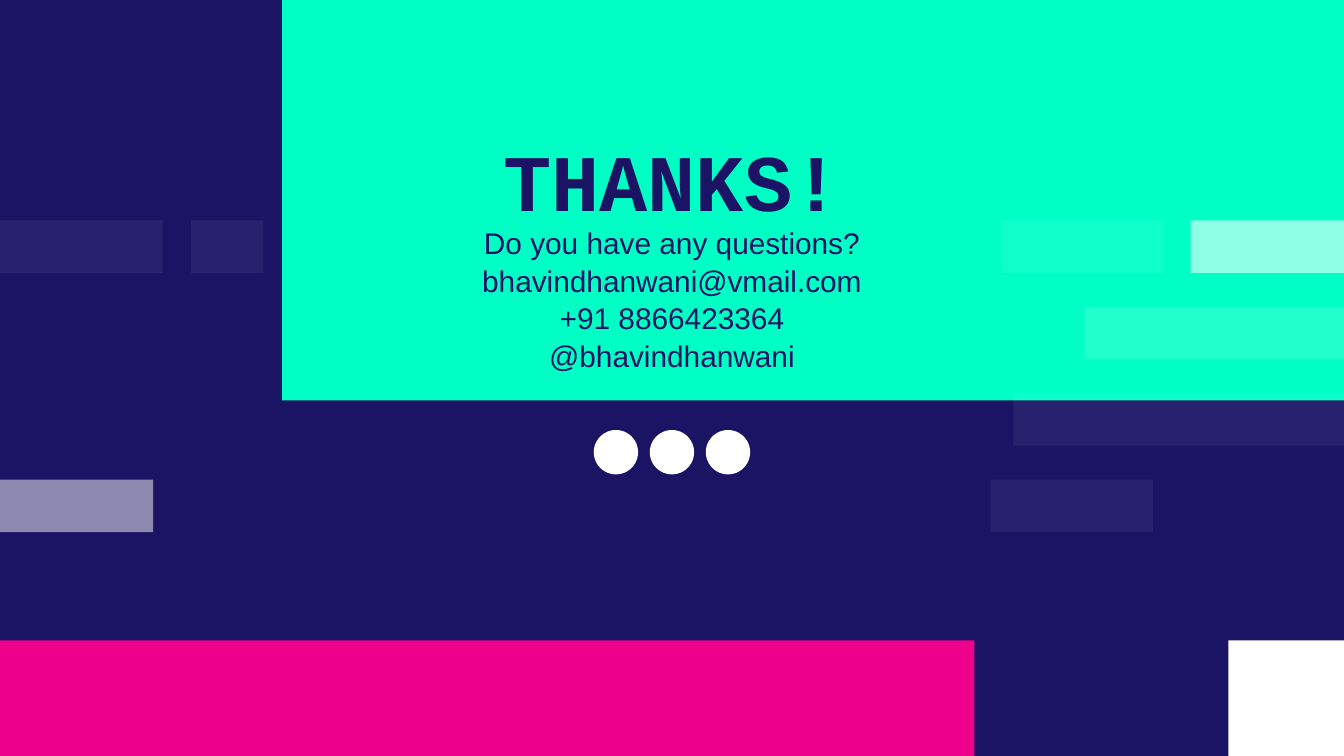
"""Build the closing thanks slide with contact details."""
from pptx import Presentation
from pptx.dml.color import RGBColor
from pptx.enum.shapes import MSO_SHAPE as Kind
from pptx.enum.text import PP_ALIGN as Align
from pptx.oxml.ns import qn
from pptx.util import Inches, Pt
from lxml.etree import SubElement

NAVY, PINK, MINT, WHITE = "1B1464", "EC008C", "00FFC5", "FFFFFF"
WIDE, HIGH = 10, 5.625

deck = Presentation()
deck.slide_width, deck.slide_height = Inches(WIDE), Inches(HIGH)
slide = deck.slides.add_slide(deck.slide_layouts[6])
back = slide.background.fill
back.solid()
back.fore_color.rgb = RGBColor.from_string(NAVY)


def block(kind, x, y, w, h, color, alpha=100):
    shape = slide.shapes.add_shape(kind, *map(Inches, (x, y, w, h)))
    shape.shadow.inherit = False
    shape.line.fill.background()
    shape.fill.solid()
    shape.fill.fore_color.rgb = RGBColor.from_string(color)
    if alpha < 100:
        tone = shape.fill._xPr.find(qn("a:solidFill"))[0]
        SubElement(tone, qn("a:alpha")).set("val", str(alpha * 1000))


def write(box, lines, font, size, bold, space, top):
    frame = slide.shapes.add_textbox(*map(Inches, box)).text_frame
    frame.word_wrap = True
    frame.margin_left = frame.margin_right = frame.margin_bottom = Inches(0.1)
    frame.margin_top = Inches(top)
    frame.text = "\n".join(lines)
    for para in frame.paragraphs:
        para.alignment = Align.CENTER
        para.line_spacing = space
        para.font.name, para.font.size, para.font.bold = font, Pt(size), bold
        para.font.color.rgb = RGBColor.from_string(NAVY)


foot = 0.86
block(Kind.RECTANGLE, 0, HIGH - foot, 7.25, foot, PINK)
block(Kind.RECTANGLE, WIDE - foot, HIGH - foot, foot, foot, WHITE)
block(Kind.RECTANGLE, 2.1, 0, WIDE - 2.1, 2.98, MINT)

first, step, thick = 1.64, 0.643, 0.39
bars = [
    (1, 8.07, 10, 13), (0, 7.45, 8.66, 6), (2, 7.54, 10, 6), (0, 8.86, 10, 56),
    (3, 7.37, 8.58, 6), (3, 0, 1.14, 50), (0, 0, 1.21, 6), (0, 1.42, 1.96, 6),
]
for row, left, right, alpha in bars:
    block(Kind.RECTANGLE, left, first + row * step, right - left, thick, WHITE, alpha)

write((3.23, 0.77, 3.54, 0.73), ["THANKS!"], "Courier New", 43, True, 1.15, 0.1)
lines = [
    "Do you have any questions?",
    "bhavindhanwani@vmail.com",
    "+91 8866423364",
    "@bhavindhanwani",
]
write((3.23, 1.66, 3.54, 1.32), lines, "Arial", 16, False, 1.05, 0)

dot, pitch = 0.33, 0.417
for col in (-1, 0, 1):
    block(Kind.OVAL, (WIDE - dot) / 2 + col * pitch, 3.2, dot, dot, WHITE)

deck.save("out.pptx")
